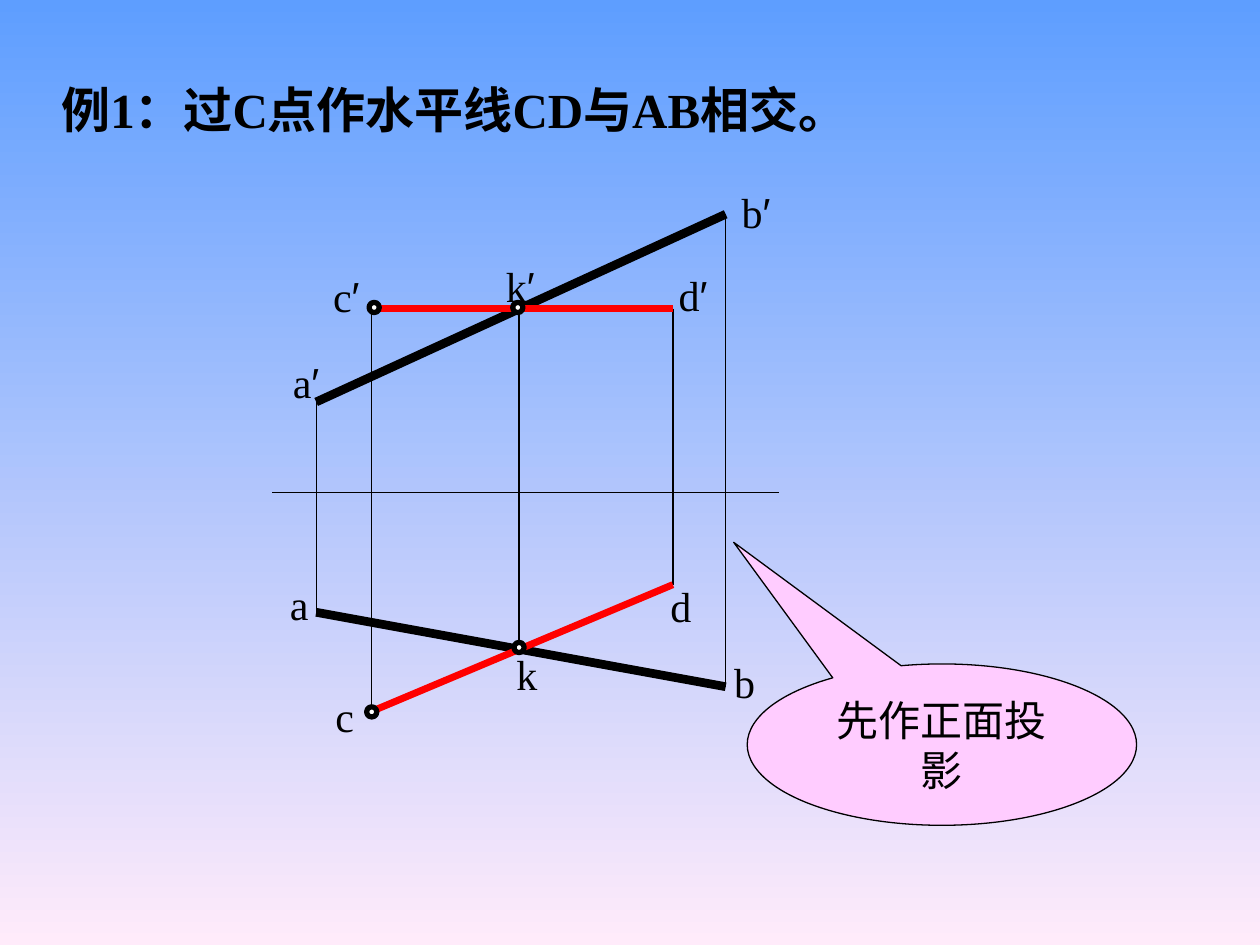
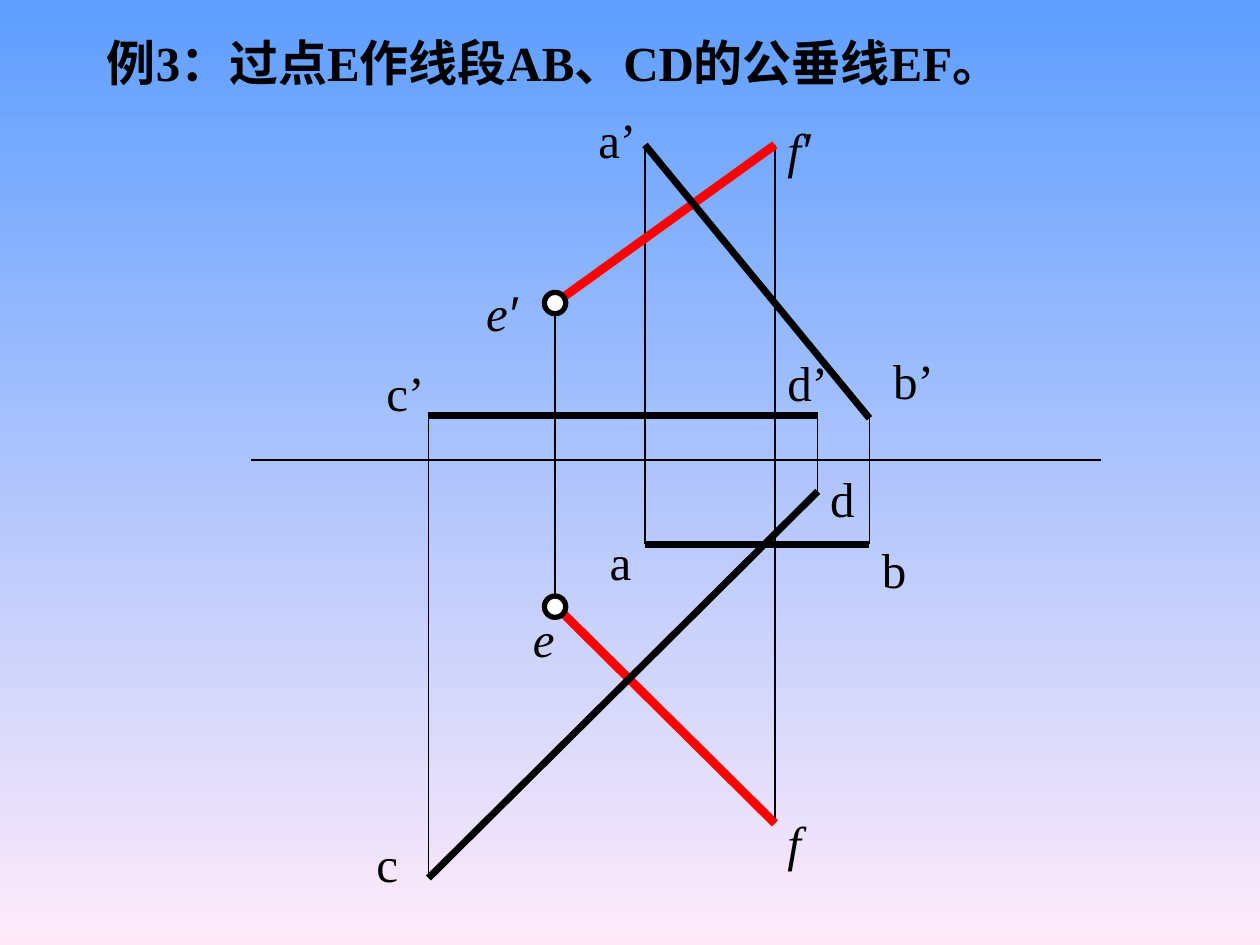
from lxml import etree
from pptx import Presentation
from pptx.dml.color import RGBColor
from pptx.enum.shapes import MSO_CONNECTOR, MSO_SHAPE
from pptx.enum.text import MSO_ANCHOR, PP_ALIGN
from pptx.oxml.ns import qn
from pptx.util import Pt

STRAIGHT = MSO_CONNECTOR.STRAIGHT
OVAL, CALLOUT = MSO_SHAPE.OVAL, MSO_SHAPE.OVAL_CALLOUT
LEFT, CENTER = PP_ALIGN.LEFT, PP_ALIGN.CENTER
TOP, MIDDLE = MSO_ANCHOR.TOP, MSO_ANCHOR.MIDDLE

BLACK = RGBColor(0x00, 0x00, 0x00)
WHITE = RGBColor(0xFF, 0xFF, 0xFF)
RED = RGBColor(0xFF, 0x00, 0x00)
PINK = RGBColor(0xFF, 0xCC, 0xFF)
SKY = RGBColor(0x5E, 0x9E, 0xFF)
BLUSH = RGBColor(0xFF, 0xEB, 0xFA)
FONT, PRIME_FONT = "Times New Roman", "Arial"
PRIME = "′"
THIN = 0.75

# Content: each point is (x, y in the front view, y in the top view);
# each segment is drawn in both views; labels are (text, left, top, width)
EXAMPLES = [
    {
        "title": "例1：过C点作水平线CD与AB相交。",
        "title_box": (28, 41.8, 517, 41),
        "title_wrap": False, "title_anchor": MIDDLE, "hanging": 0,
        "axis": (155.5, 445, 281.5),
        "points": {
            "a": (180.7, 229.7, 349.9), "b": (414.7, 122.4, 392.4),
            "c": (212.4, 176.4, 406.5), "d": (384.5, 176.4, 334.1),
            "k": (296.6, 176.4, 371),
        },
        "segments": [("a", "b", BLACK, 5), ("c", "d", RED, 4)],
        "marks": [(213.8, 175.7), (212.4, 406.8), (295.9, 175.7), (296.6, 370)],
        "mark_size": 5.8,
        "labels": [
            ("a′", 158.4, 200.2, 33), ("b′", 414.7, 103, 34.6),
            ("c′", 181.4, 151.2, 33), ("d′", 378.7, 150.5, 34.6),
            ("k′", 280, 145.4, 34.6), ("a", 158.4, 326.9, 25.2),
            ("b", 404.6, 371.5, 41.8), ("c", 184.3, 391, 25.2),
            ("d", 375.8, 328.3, 26.6), ("k", 288, 367.2, 26),
        ],
        "label_style": {"size": 24, "align": CENTER, "anchor": MIDDLE, "wrap": False},
        "label_height": 36,
        "italic": "",
        "callout": ("先作正面投影", (427, 379.4, 222.5, 92.2), (-0.535, -1.254)),
    },
    {
        "title": "例3：过点E作线段AB、CD的公垂线EF。",
        "title_box": (54, 15.1, 552.2, 54),
        "title_wrap": True, "title_anchor": TOP, "hanging": 27,
        "axis": (143.3, 629.3, 262.8),
        "points": {
            "a": (368.6, 82.8, 311), "b": (496.8, 239, 311),
            "c": (244.8, 237.6, 501.8), "d": (467.3, 237.6, 280.8),
            "e": (317.2, 173.2, 346), "f": (442.8, 82.8, 470.5),
        },
        "segments": [("e", "f", RED, 5), ("a", "b", BLACK, 4), ("c", "d", BLACK, 4)],
        "marks": [(317.2, 173.2), (317.2, 346.7)],
        "mark_size": 12.2,
        "labels": [
            ("a’", 334.8, 59, 61), ("b’", 503.3, 196.6, 61),
            ("c’", 213.8, 203.8, 61), ("d’", 442.8, 198, 61),
            ("e′", 270.7, 157.7, 52.6), ("f′", 442.8, 64.8, 96.5),
            ("a", 341.3, 300.2, 61), ("b", 496.8, 304.6, 61),
            ("c", 208, 473, 61), ("d", 467.3, 264.2, 61),
            ("e", 297.4, 344.2, 71.3), ("f", 442.8, 460.8, 71.3),
        ],
        "label_style": {"size": 28, "align": LEFT, "anchor": TOP, "wrap": True},
        "label_height": 41,
        "italic": "ef",
        "callout": None,
    },
]


def points(values):
    return [Pt(value) for value in values]


def draw_line(slide, start, end, color=BLACK, width=THIN):
    line = slide.shapes.add_connector(STRAIGHT, *points((*start, *end)))
    line.line.color.rgb = color
    line.line.width = Pt(width)
    etree.SubElement(line._element.spPr, qn("a:effectLst"))


def draw_shape(slide, preset, box, fill, width):
    shape = slide.shapes.add_shape(preset, *points(box))
    shape.shadow.inherit = False
    shape.fill.solid()
    shape.fill.fore_color.rgb = fill
    shape.line.color.rgb = BLACK
    shape.line.width = Pt(width)
    return shape


def write(shape, text, size, align=LEFT, anchor=TOP, wrap=True,
          bold=False, italic=False, hanging=0):
    frame = shape.text_frame
    frame.word_wrap = wrap
    frame.vertical_anchor = anchor
    paragraph = frame.paragraphs[0]
    paragraph.alignment = align
    if hanging:
        properties = paragraph._p.get_or_add_pPr()
        properties.set("marL", str(Pt(hanging)))
        properties.set("indent", str(-Pt(hanging)))
    font = paragraph.font
    font.name, font.size, font.color.rgb = FONT, Pt(size), BLACK
    font.bold, font.italic = bold, italic
    paragraph.add_run().text = text.rstrip(PRIME)
    if text.endswith(PRIME):
        prime = paragraph.add_run()
        prime.text = PRIME
        prime.font.name = PRIME_FONT


def build_example(slide, example):
    # Background gradient, top to bottom
    background = slide.background.fill
    background.gradient()
    background.gradient_angle = 270
    for stop, color in zip(background.gradient_stops, (SKY, BLUSH)):
        stop.color.rgb = color

    # Title
    title = slide.shapes.add_textbox(*points(example["title_box"]))
    write(title, example["title"], 28, bold=True, wrap=example["title_wrap"],
          anchor=example["title_anchor"], hanging=example["hanging"])

    # Axis and projection lines
    left, right, axis_y = example["axis"]
    draw_line(slide, (left, axis_y), (right, axis_y))
    places = example["points"]
    for x, front, top in places.values():
        draw_line(slide, (x, front), (x, top))

    # Segments in the front view (1) and the top view (2)
    for start, end, color, width in example["segments"]:
        for view in (1, 2):
            ends = [(places[name][0], places[name][view]) for name in (start, end)]
            draw_line(slide, *ends, color, width)

    # Point marks
    size = example["mark_size"]
    for x, y in example["marks"]:
        draw_shape(slide, OVAL, (x - size / 2, y - size / 2, size, size), WHITE, 3)

    # Point labels
    for text, x, y, width in example["labels"]:
        label = slide.shapes.add_textbox(*points((x, y, width, example["label_height"])))
        write(label, text, italic=text[0] in example["italic"], **example["label_style"])

    # Callout
    if example["callout"]:
        text, box, tip = example["callout"]
        callout = draw_shape(slide, CALLOUT, box, PINK, THIN)
        for index, offset in enumerate(tip):
            callout.adjustments[index] = offset
        write(callout, text, 24, CENTER, MIDDLE)


def main():
    deck = Presentation()
    deck.slide_width, deck.slide_height = Pt(720), Pt(540)
    for example in EXAMPLES:
        build_example(deck.slides.add_slide(deck.slide_layouts[6]), example)
    deck.save("out.pptx")


if __name__ == "__main__":
    main()
